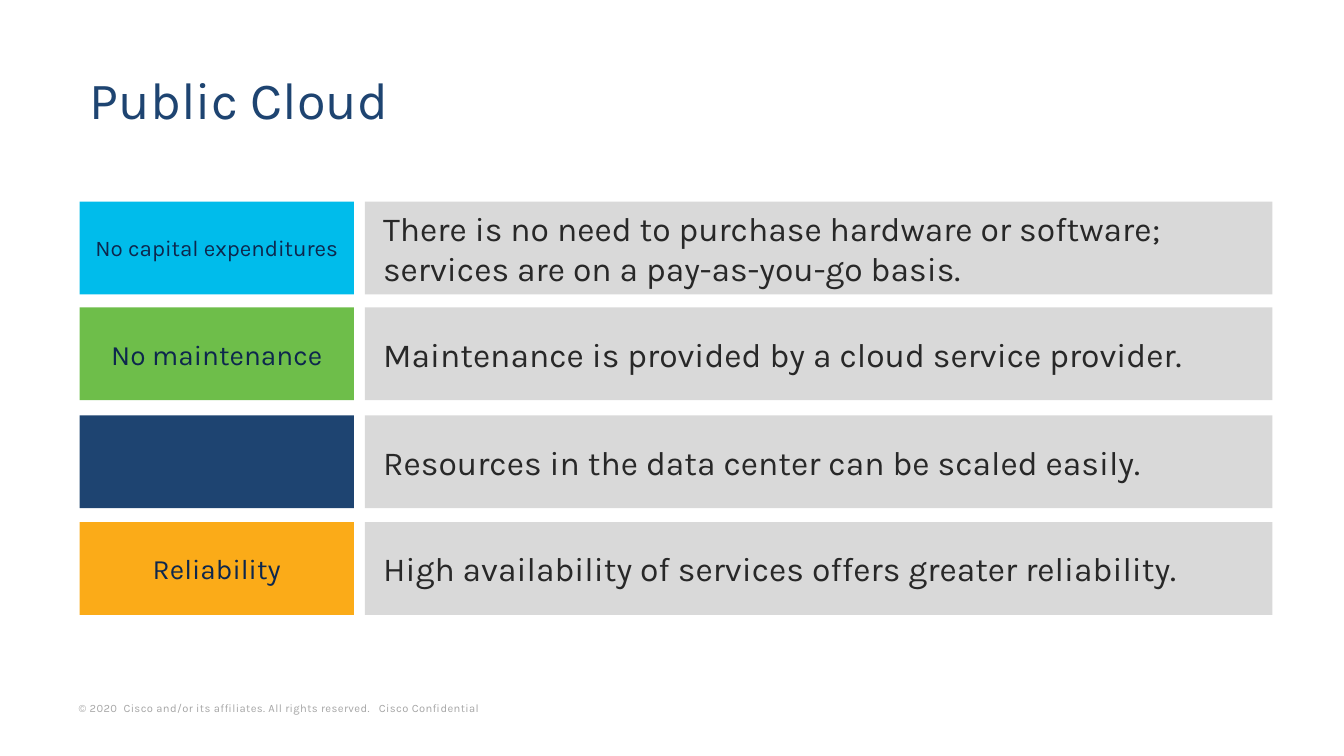
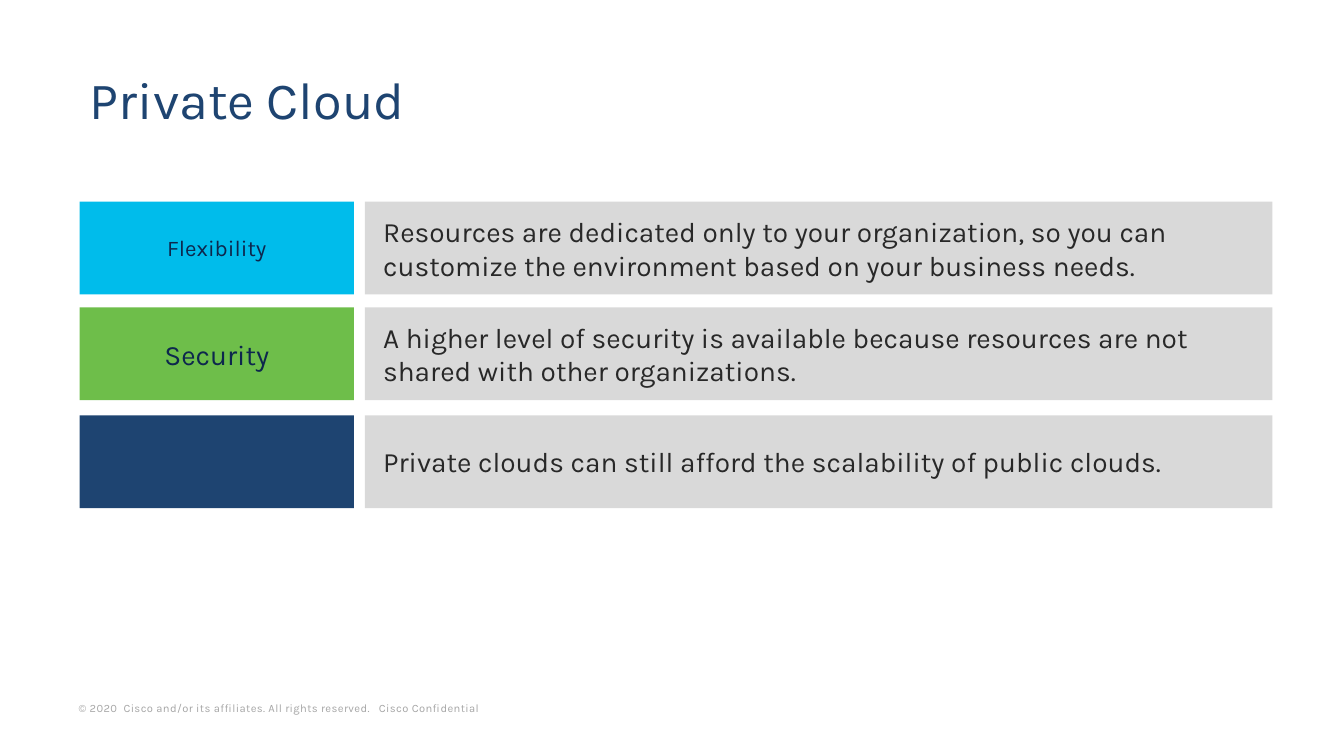
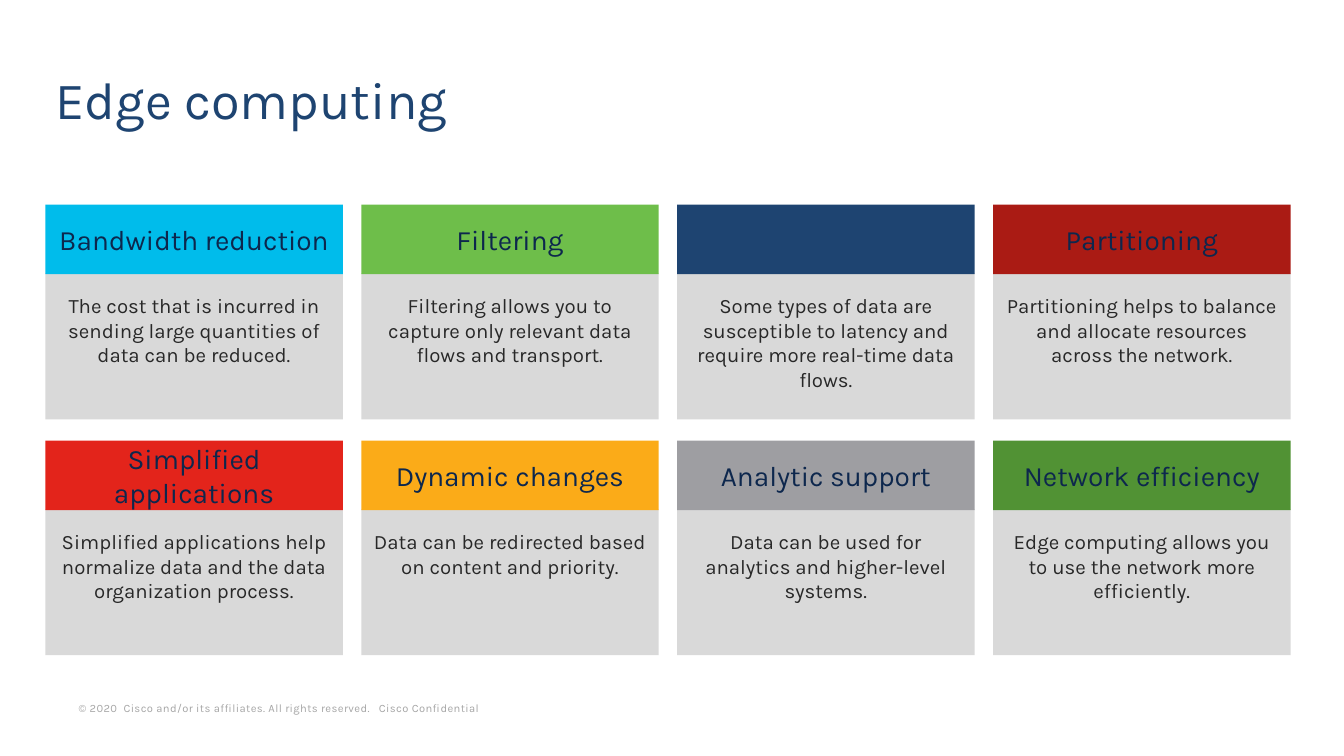
from pptx import Presentation
from pptx import util as u
from pptx.dml.color import RGBColor
from pptx.enum import shapes, text

FONT = "Karla"
NAVY, CYAN, GREEN, AMBER = "1E4471", "00BCEB", "6EBE4A", "FBAB18"
BRICK, RED, SILVER, FOREST = "AA1B14", "E3241B", "9E9EA2", "519234"
PANEL, LABEL_INK, BODY_INK, FOOTER_INK = "D9D9D9", "0D274D", "282828", "A6A6A6"
FOOTER = "© 2020  Cisco and/or its affiliates. All rights reserved.   Cisco Confidential"

LEFT, CENTER = text.PP_ALIGN.LEFT, text.PP_ALIGN.CENTER
TOP, MIDDLE, BOTTOM = text.MSO_ANCHOR.TOP, text.MSO_ANCHOR.MIDDLE, text.MSO_ANCHOR.BOTTOM

# Rows of a label and a sentence
ROW_LEFT, ROW_HEIGHT, ROW_TOPS = 0.79, 0.92, (2, 3.05, 4.12, 5.18)
LABEL_WIDTH, SENTENCE_LEFT, SENTENCE_WIDTH = 2.72, 3.62, 9

# Grid of cards
CARD_LEFT, CARD_TOP, CARD_WIDTH, CARD_COLUMNS = 0.45, 2.03, 2.95, 4
COLUMN_STEP, CARD_ROW_STEP = 9.4 / 3, 2.34
HEAD_HEIGHT, BODY_OFFSET, BODY_HEIGHT = 0.69, 0.68, 1.45

PUBLIC_ROWS = [
    ("No capital expenditures", CYAN, 16,
     "There is no need to purchase hardware or software; services are on a pay-as-you-go basis."),
    ("No maintenance", GREEN, 20, "Maintenance is provided by a cloud service provider."),
    (None, NAVY, 20, "Resources in the data center can be scaled easily."),
    ("Reliability", AMBER, 20, "High availability of services offers greater reliability."),
]
PRIVATE_ROWS = [
    ("Flexibility", CYAN, 16,
     "Resources are dedicated only to your organization, so you can customize the environment "
     "based on your business needs."),
    ("Security", GREEN, 20,
     "A higher level of security is available because resources are not shared with other "
     "organizations."),
    (None, NAVY, 20, "Private clouds can still afford the scalability of public clouds."),
]
EDGE_CARDS = [
    ("Bandwidth reduction", CYAN,
     "The cost that is incurred in sending large quantities of data can be reduced."),
    ("Filtering", GREEN,
     "Filtering allows you to capture only relevant data flows and transport."),
    (None, NAVY,
     "Some types of data are susceptible to latency and require more real-time data flows."),
    ("Partitioning", BRICK,
     "Partitioning helps to balance and allocate resources across the network."),
    ("Simplified applications", RED,
     "Simplified applications help normalize data and the data organization process."),
    ("Dynamic changes", AMBER, "Data can be redirected based on content and priority."),
    ("Analytic support", SILVER, "Data can be used for analytics and higher-level systems."),
    ("Network efficiency", FOREST,
     "Edge computing allows you to use the network more efficiently."),
]


def rgb(color):
    return RGBColor.from_string(color)


def inches(*lengths):
    return [u.Inches(length) for length in lengths]


def write(sp, words, size, color, align=LEFT, anchor=MIDDLE, insets=(0.1, 0.05, 0.1, 0.05),
          wrap=True, line_spacing=None, tracking=None):
    """Fill a shape with one paragraph; insets run left, top, right, bottom."""
    tf = sp.text_frame
    tf.auto_size = text.MSO_AUTO_SIZE.NONE
    tf.word_wrap = wrap
    tf.vertical_anchor = anchor
    tf.margin_left, tf.margin_top, tf.margin_right, tf.margin_bottom = inches(*insets)
    p = tf.paragraphs[0]
    p.alignment = align
    p.line_spacing = line_spacing
    r = p.add_run()
    r.text = words
    r.font.name = FONT
    r.font.size = u.Pt(size)
    r.font.color.rgb = rgb(color)
    if tracking:
        r.font._element.set("spc", str(round(tracking * 100)))


def add_block(parent, box, fill, words, size, color, **style):
    """Add a filled rectangle, with text unless words is None."""
    sp = parent.shapes.add_shape(shapes.MSO_SHAPE.RECTANGLE, *inches(*box))
    sp.shadow.inherit = False
    sp.fill.solid()
    sp.fill.fore_color.rgb = rgb(fill)
    sp.line.fill.background()
    if words:
        write(sp, words, size, color, **style)


def add_slide(prs, title, left, width):
    s = prs.slides.add_slide(prs.slide_layouts[5])
    sp = s.shapes.title
    sp.left, sp.top, sp.width, sp.height = inches(left, 0.5, width, 1.07)
    write(sp, title, 37.3, NAVY, line_spacing=0.8)
    footer = s.shapes.add_textbox(*inches(0.69, 6.9, 4.96, 0.23))
    write(footer, FOOTER, 8, FOOTER_INK, anchor=BOTTOM, insets=(0.09, 0.04, 0.09, 0.04),
          tracking=0.26)
    return s


def add_rows(s, rows, sentence_size):
    for top, (label, fill, label_size, sentence) in zip(ROW_TOPS, rows):
        add_block(s, (SENTENCE_LEFT, top, SENTENCE_WIDTH, ROW_HEIGHT), PANEL, sentence,
                  sentence_size, BODY_INK, insets=(0.18, 0.04, 0.08, 0.04))
        add_block(s, (ROW_LEFT, top, LABEL_WIDTH, ROW_HEIGHT), fill, label, label_size,
                  LABEL_INK, align=CENTER, insets=(0.1,) * 4, wrap=False)


def add_cards(s, cards):
    for i, (head, fill, body) in enumerate(cards):
        row, column = divmod(i, CARD_COLUMNS)
        left = CARD_LEFT + column * COLUMN_STEP
        top = CARD_TOP + row * CARD_ROW_STEP
        card = s.shapes.add_group_shape()
        add_block(card, (left, top + BODY_OFFSET, CARD_WIDTH, BODY_HEIGHT), PANEL, body, 14.6,
                  BODY_INK, align=CENTER, anchor=TOP, insets=(0.1, 0.2, 0.1, 0.05))
        add_block(card, (left, top, CARD_WIDTH, HEAD_HEIGHT), fill, head, 20, LABEL_INK,
                  align=CENTER)


def main():
    prs = Presentation()
    prs.slide_width, prs.slide_height = inches(13.33, 7.5)
    for title, rows, size in (("Public Cloud", PUBLIC_ROWS, 24),
                              ("Private Cloud", PRIVATE_ROWS, 20)):
        add_rows(add_slide(prs, title, ROW_LEFT, 11.83), rows, size)
    add_cards(add_slide(prs, "Edge computing", CARD_LEFT, 12.35), EDGE_CARDS)
    prs.save("out.pptx")


if __name__ == "__main__":
    main()
